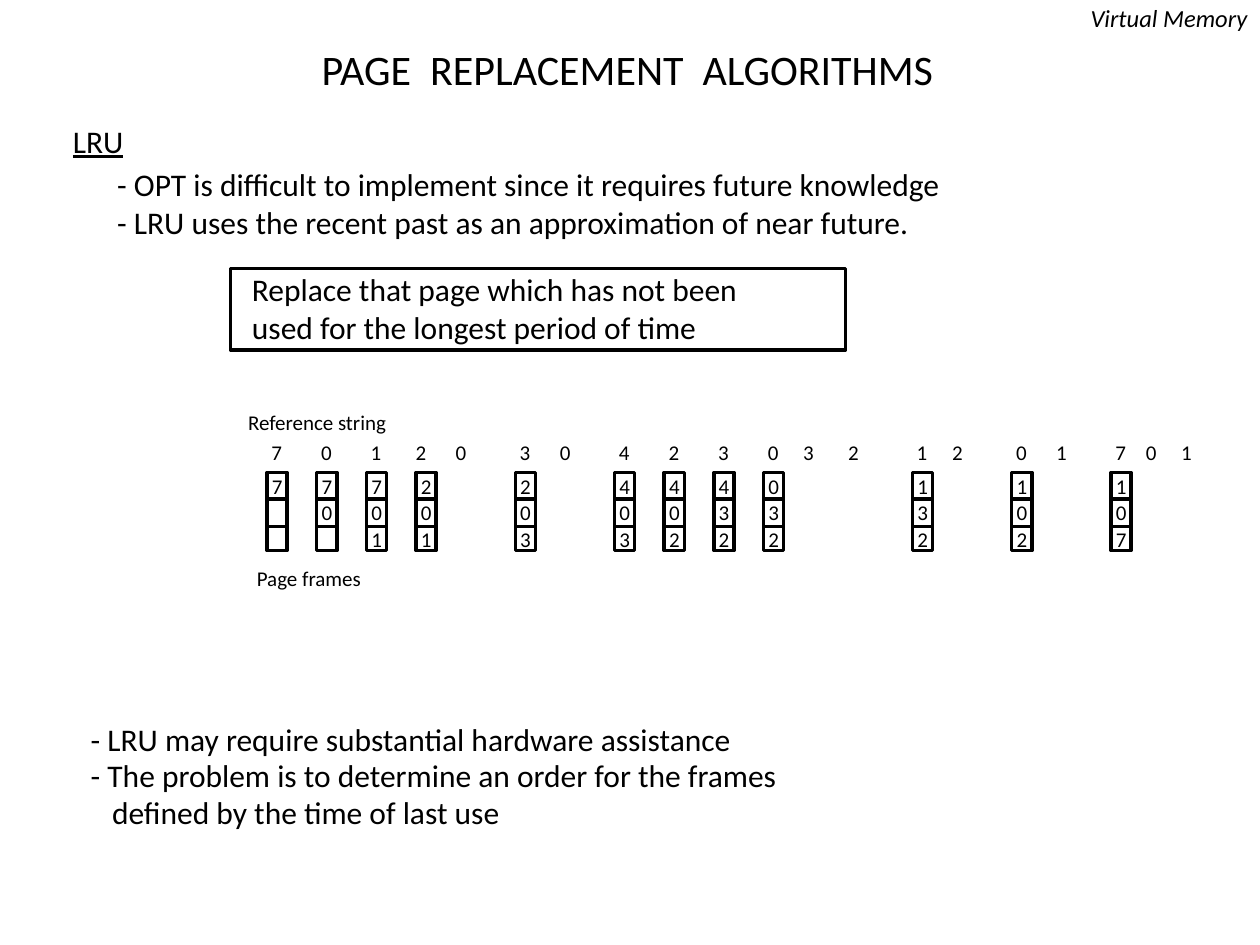
from dataclasses import dataclass

from pptx import Presentation
from pptx.dml.color import RGBColor
from pptx.enum import shapes, text
from pptx.oxml import ns
from pptx.util import Inches, Pt
from lxml import etree


@dataclass(frozen=True)
class Theme:
    """Colours, font and type sizes of the slide."""
    ink: RGBColor = RGBColor(0, 0, 0)
    paper: RGBColor = RGBColor(255, 255, 255)
    font: str = "Calibri"
    title: int = 24
    body: int = 18
    head: int = 14
    small: int = 12
    line: int = 2


THEME = Theme()
STEP = 0.394
ROW = 0.21
SPACE = 0.0377
REFS = [7, 0, 1, 2, 0, 3, 0, 4, 2, 3, 0, 3, 2, 1, 2, 0, 1, 7, 0, 1]
PADS = [7, 7, 7, 6, 4, 7, 5, 7, 7, 7, 7, 4, 3, 7, 4, 7, 5, 7, 3, 0]
FRAMES = {0: "7", 1: "70", 2: "701", 3: "201", 5: "203", 7: "403",
          8: "402", 9: "432", 10: "032", 13: "132", 15: "102", 17: "107"}


def add_text(slide, box, lines, size, pad=(0.1, 0.05), lead=0.9, shift=0,
             align=text.PP_ALIGN.LEFT, under=None, slant=None):
    """Add a text box with one paragraph per line and return its frame."""
    frame = slide.shapes.add_textbox(*map(Inches, box)).text_frame
    frame.word_wrap = False
    frame.auto_size = text.MSO_AUTO_SIZE.SHAPE_TO_FIT_TEXT
    frame.margin_left = Inches(pad[0] + shift)
    frame.margin_right = Inches(pad[0])
    frame.margin_top = frame.margin_bottom = Inches(pad[1])
    frame.text = "\n".join(lines)
    for para in frame.paragraphs:
        para.alignment = align
        para.line_spacing = lead
        font = para.font
        font.name, font.size = THEME.font, Pt(size)
        font.color.rgb = THEME.ink
        font.underline, font.italic = under, slant
    return frame


def add_box(slide, box, fill=None):
    """Add an outlined rectangle, filled when a colour is given."""
    shape = slide.shapes.add_shape(shapes.MSO_SHAPE.RECTANGLE,
                                   *map(Inches, box))
    shape.shadow.inherit = False
    if fill is None:
        shape.fill.background()
    else:
        shape.fill.solid()
        shape.fill.fore_color.rgb = fill
    shape.line.color.rgb = THEME.ink
    shape.line.width = Pt(THEME.line)


def add_rule(slide, left, top, width):
    """Add a horizontal line."""
    rule = slide.shapes.add_connector(
        shapes.MSO_CONNECTOR.STRAIGHT,
        *map(Inches, (left, top, left + width, top)))
    rule.line.color.rgb = THEME.ink
    rule.line.width = Pt(THEME.line)
    etree.SubElement(rule.element.spPr, ns.qn("a:effectLst"))


def add_frame(slide, left, pages):
    """Add a stack of three page frames with the pages it holds."""
    add_box(slide, (left, 3.75, 0.16, 0.62), THEME.paper)
    for top in (3.96, 4.18):
        add_rule(slide, left, top, 0.16)
    for row, page in enumerate(pages):
        add_text(slide, (left - 0.06, 3.73 + ROW * row, 0.29, 0.28),
                 [page], THEME.small)


def add_trace(slide):
    """Add the reference string and the frames below it."""
    add_text(slide, (1.87, 3.22, 1.51, 0.28), ["Reference string"],
             THEME.small)
    for col, (page, pad) in enumerate(zip(REFS, PADS)):
        shift = pad * SPACE
        add_text(slide, (1.79 + STEP * col, 3.46, 0.29 + shift, 0.28),
                 [str(page)], THEME.small, shift=shift)
    for col, pages in FRAMES.items():
        add_frame(slide, 2.12 + STEP * col, pages)
    add_text(slide, (1.94, 4.46, 1.19, 0.28), ["Page frames"], THEME.small)


def add_notes(slide):
    """Add the headings, the statements and the boxed rule."""
    title = add_text(slide, (0.51, 0.28, 8.94, 0.53),
                     ["PAGE  REPLACEMENT  ALGORITHMS"], THEME.title,
                     lead=1, align=text.PP_ALIGN.CENTER)
    title.word_wrap = True
    title.auto_size = text.MSO_AUTO_SIZE.NONE
    title.vertical_anchor = text.MSO_ANCHOR.MIDDLE
    add_text(slide, (8.4, 0, 1.6, 0.31), ["Virtual Memory"], THEME.head,
             align=text.PP_ALIGN.RIGHT, slant=True)
    add_text(slide, (0.48, 0.95, 0.71, 0.37), ["LRU"], THEME.body, under=True)
    pad = (0.07, 0.03)
    add_text(slide, (0.69, 1.28, 8.01, 0.66), [
        "- OPT is difficult to implement since it requires future knowledge",
        "- LRU uses the recent past as an approximation of near future.",
    ], THEME.body, pad, 1.01, shift=0.17)
    add_text(slide, (1.93, 2.11, 4.74, 0.66), [
        "Replace that page which has not been",
        "used for the longest period of time",
    ], THEME.body, pad, 1.01)
    add_box(slide, (1.83, 2.13, 4.88, 0.65))
    close = add_text(slide, (0.65, 5.7, 6.44, 1.22), [
        "- LRU may require substantial hardware assistance",
        "- The problem is to determine an order for the frames",
        "defined by the time of last use",
    ], THEME.body, pad, 0.97)
    props = close.paragraphs[-1]._p.get_or_add_pPr()
    props.set("marL", str(Inches(0.17)))


def main():
    """Build the slide and save it."""
    deck = Presentation()
    deck.slide_width, deck.slide_height = Inches(10), Inches(7.5)
    slide = deck.slides.add_slide(deck.slide_layouts[6])
    add_notes(slide)
    add_trace(slide)
    deck.save("out.pptx")


if __name__ == "__main__":
    main()
